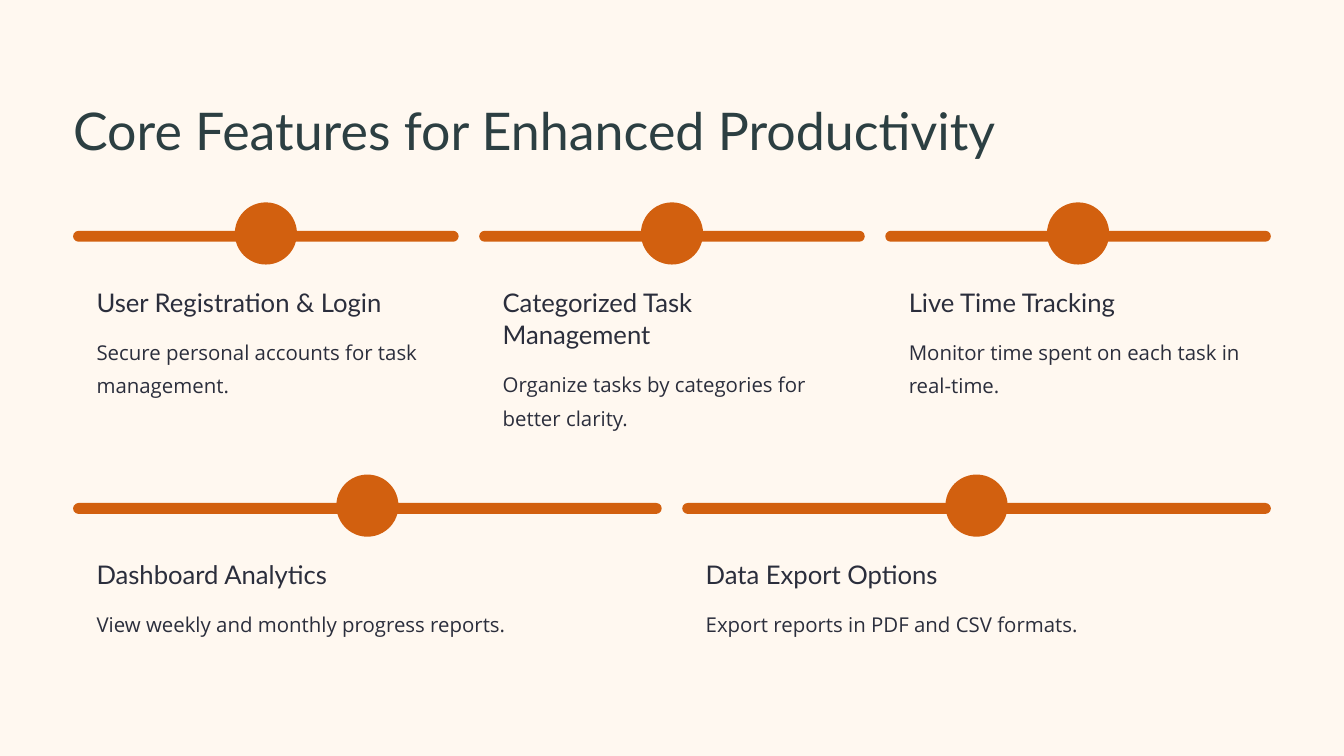
from collections import namedtuple

from pptx import Presentation
from pptx.dml.color import RGBColor
from pptx.enum.shapes import MSO_SHAPE
from pptx.enum.text import MSO_ANCHOR, PP_ALIGN
from pptx.util import Cm, Pt

CREAM = RGBColor(0xFF, 0xF8, 0xF0)
ORANGE = RGBColor(0xD2, 0x60, 0x0F)
TITLE_GREEN = RGBColor(0x2C, 0x3F, 0x42)
INK = RGBColor(0x2B, 0x2E, 0x3C)

TextStyle = namedtuple("TextStyle", "font size spacing color")
Feature = namedtuple("Feature", "heading heading_width heading_lines body body_lines")

TITLE = TextStyle("Lato", 44.5, 55.5, TITLE_GREEN)
HEADING = TextStyle("Lato", 22, 27.5, INK)
BODY = TextStyle("Open Sans", 17.5, 28.5, INK)

LEFT, CONTENT_WIDTH, GAP = 2.21, 36.22, 0.62
PADDING, CARD_RADIUS = 0.71, 0.41
BAR_HEIGHT, DOT_SIZE = 0.33, 1.88

ROWS = [
    (7.06, 6.65, [
        Feature("User Registration & Login", 9.32, 1,
                "Secure personal accounts for task management.", 2),
        Feature("Categorized Task Management", 10.24, 2,
                "Organize tasks by categories for better clarity.", 2),
        Feature("Live Time Tracking", 7.87, 1,
                "Monitor time spent on each task in real-time.", 2),
    ]),
    (15.29, 4.65, [
        Feature("Dashboard Analytics", 7.87, 1,
                "View weekly and monthly progress reports.", 1),
        Feature("Data Export Options", 7.87, 1,
                "Export reports in PDF and CSV formats.", 1),
    ]),
]


class FeatureSlide:
    def __init__(self, deck):
        self.slide = deck.slides.add_slide(deck.slide_layouts[6])
        background = self.slide.background.fill
        background.solid()
        background.fore_color.rgb = CREAM

    def rounded(self, left, top, width, height, radius, color):
        panel = self.slide.shapes.add_shape(
            MSO_SHAPE.ROUNDED_RECTANGLE, Cm(left), Cm(top), Cm(width), Cm(height))
        panel.adjustments[0] = radius / min(width, height)
        panel.shadow.inherit = False
        panel.fill.solid()
        panel.fill.fore_color.rgb = color
        panel.line.fill.background()

    def text(self, left, top, width, height, words, style, wrap=False):
        frame = self.slide.shapes.add_textbox(
            Cm(left), Cm(top), Cm(width), Cm(height)).text_frame
        frame.margin_left = frame.margin_right = 0
        frame.margin_top = frame.margin_bottom = 0
        frame.word_wrap = wrap
        frame.vertical_anchor = MSO_ANCHOR.TOP
        paragraph = frame.paragraphs[0]
        paragraph.alignment = PP_ALIGN.LEFT
        paragraph.line_spacing = Pt(style.spacing)
        run = paragraph.add_run()
        run.text = words
        run.font.name = style.font
        run.font.size = Pt(style.size)
        run.font.color.rgb = style.color

    def card(self, left, top, width, height, feature):
        self.rounded(left, top, width, height, CARD_RADIUS, CREAM)
        self.rounded(left, top - 0.08, width, BAR_HEIGHT, BAR_HEIGHT / 2, ORANGE)
        self.rounded(left + (width - DOT_SIZE) / 2, top - DOT_SIZE / 2,
                     DOT_SIZE, DOT_SIZE, DOT_SIZE / 2, ORANGE)
        text_left = left + PADDING
        heading_top = top + 1.58
        heading_height = 0.99 * feature.heading_lines
        self.text(text_left, heading_top, feature.heading_width, heading_height,
                  feature.heading, HEADING, feature.heading_lines > 1)
        self.text(text_left, heading_top + heading_height + 0.38,
                  width - 2 * PADDING, feature.body_lines,
                  feature.body, BODY, feature.body_lines > 1)

    def row(self, top, height, features):
        width = (CONTENT_WIDTH - GAP * (len(features) - 1)) / len(features)
        for column, feature in enumerate(features):
            self.card(LEFT + column * (width + GAP), top, width, height, feature)


def main():
    deck = Presentation()
    deck.slide_width, deck.slide_height = Cm(40.64), Cm(22.86)
    page = FeatureSlide(deck)
    page.text(LEFT, 2.9, 29.59, 1.98, "Core Features for Enhanced Productivity", TITLE)
    for top, height, features in ROWS:
        page.row(top, height, features)
    deck.save("out.pptx")


if __name__ == "__main__":
    main()
